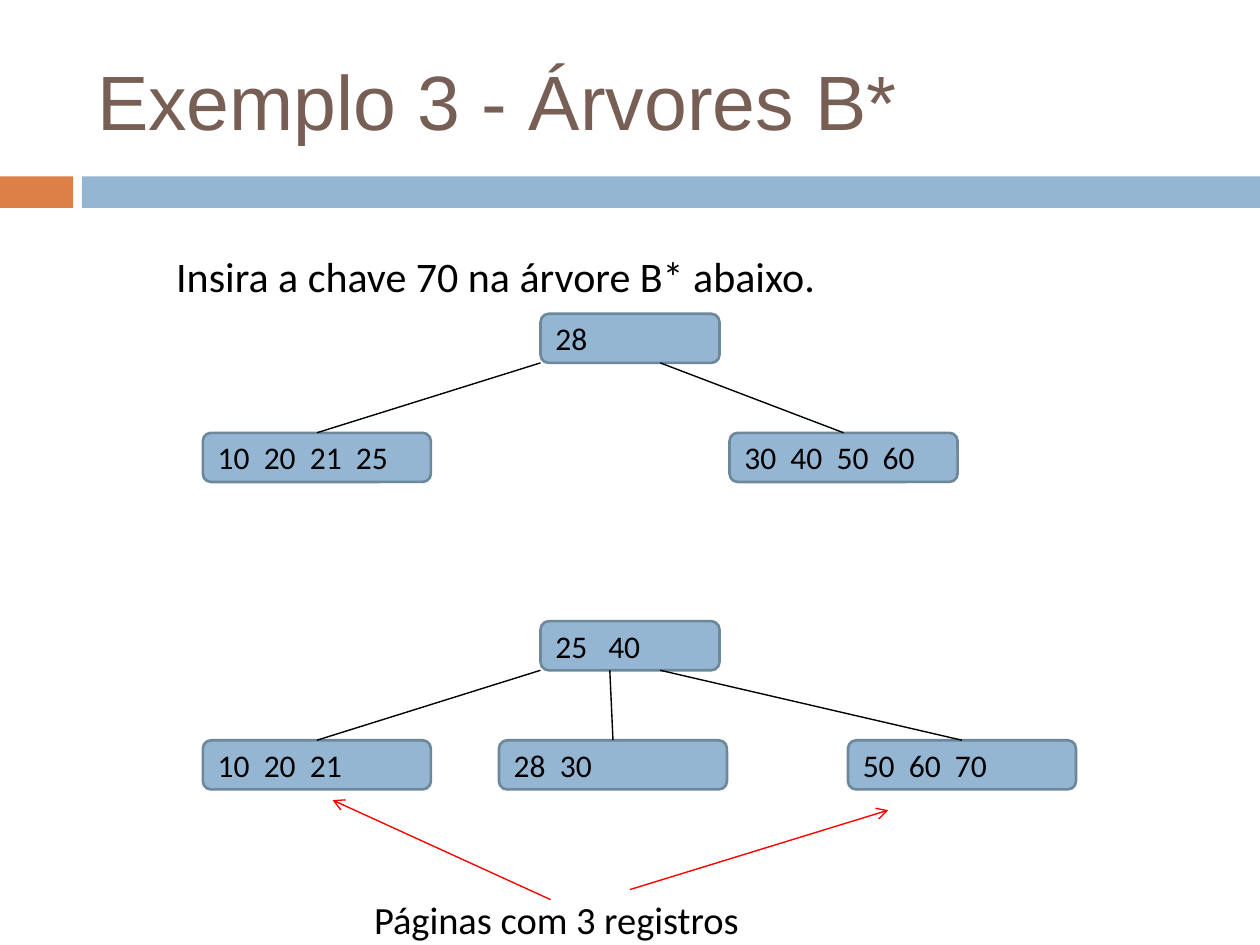
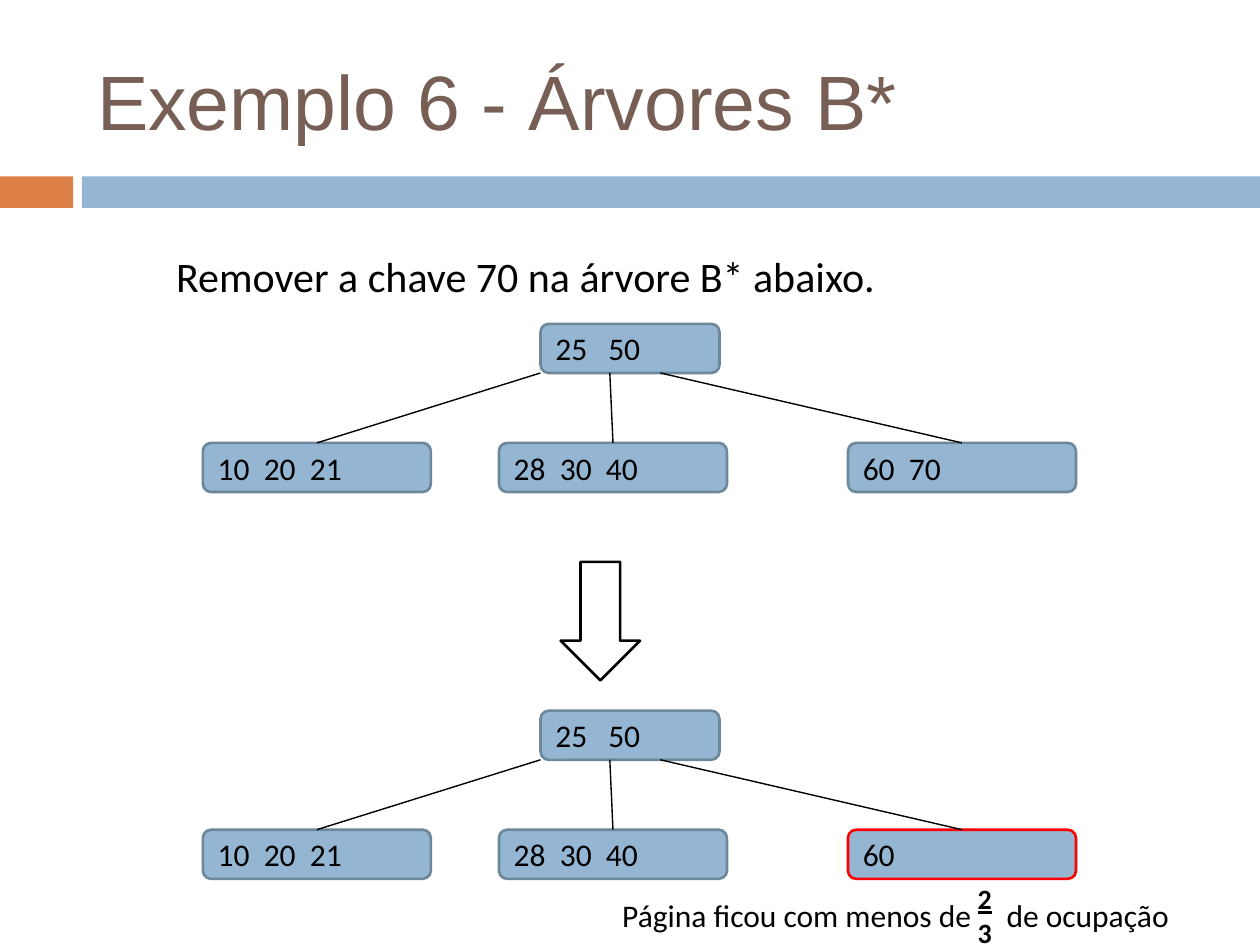
from dataclasses import dataclass
from lxml.etree import SubElement
from pptx import Presentation
from pptx.dml.color import RGBColor as Rgb
from pptx.enum.shapes import MSO_CONNECTOR as Link, MSO_SHAPE as Form
from pptx.enum.text import MSO_ANCHOR as Anchor, PP_ALIGN as Align
from pptx.oxml.ns import qn
from pptx.util import Inches, Pt


@dataclass(frozen=True)
class Theme:
    ink: Rgb = Rgb(0x00, 0x00, 0x00)
    title: Rgb = Rgb(0x77, 0x5F, 0x55)
    accent: Rgb = Rgb(0xDD, 0x80, 0x47)
    blue: Rgb = Rgb(0x94, 0xB6, 0xD2)
    edge: Rgb = Rgb(0x6D, 0x87, 0x9B)
    alert: Rgb = Rgb(0xFF, 0x00, 0x00)
    head: str = "Arial"
    body: str = "Calibri"
    huge: float = 44
    lead: float = 24
    note: float = 22
    text: float = 18
    small: float = 16
    thin: float = 0.79
    bold: float = 1.5


THEME = Theme()
ROOT_W, LEAF_W, NODE_H, DROP = 1.42, 1.81, 0.39, 0.945
ROOT_X = 2.68
LEAVES = {2: (0, 4.18), 3: (0, 2.35, 5.12)}
PORTS = {2: (0, 0.95), 3: (0, 0.55, 0.95)}
ROOT_GAP, LEAF_GAP = 0.42, 0.366
TREE_X = 1.61


def place(box):
    return [Inches(side) for side in box]


def write(para, text, size, color=THEME.ink, font=THEME.body):
    run = para.add_run()
    run.text = text
    run.font.size = Pt(size)
    run.font.name = font
    run.font.color.rgb = color
    return run


def set_tabs(para, stops):
    tabs = SubElement(para._p.get_or_add_pPr(), qn("a:tabLst"))
    for stop in stops:
        SubElement(tabs, qn("a:tab"), pos=str(Inches(stop)), algn="l")


def draw(slide, form, box, fill=None, edge=None):
    shape = slide.shapes.add_shape(form, *place(box))
    shape.shadow.inherit = False
    if fill is None:
        shape.fill.background()
    else:
        shape.fill.solid()
        shape.fill.fore_color.rgb = fill
    if edge is None:
        shape.line.fill.background()
    else:
        shape.line.color.rgb = edge
        shape.line.width = Pt(THEME.bold)
    return shape


def join(slide, start, end, color=THEME.ink, arrow=False):
    line = slide.shapes.add_connector(Link.STRAIGHT, *place(start + end))
    line.line.color.rgb = color
    line.line.width = Pt(THEME.thin)
    if arrow:
        SubElement(line.line._get_or_add_ln(), qn("a:tailEnd"), type="arrow")
    SubElement(line._element.spPr, qn("a:effectLst"))


def add_label(slide, box, text, size, stops=()):
    frame = slide.shapes.add_textbox(*place(box)).text_frame
    frame.word_wrap = True
    para = frame.paragraphs[0]
    if stops:
        set_tabs(para, stops)
    write(para, text, size)


def add_node(slide, box, keys, gap, edge=THEME.edge):
    shape = draw(slide, Form.ROUNDED_RECTANGLE, box, THEME.blue, edge)
    frame = shape.text_frame
    frame.vertical_anchor = Anchor.MIDDLE
    para = frame.paragraphs[0]
    para.alignment = Align.LEFT
    words = keys.split()
    if len(words) > 1:
        set_tabs(para, [gap * n for n in range(1, len(words))])
    write(para, "\t".join(words), THEME.text)


def add_tree(slide, left, top, root, leaves, marked=None):
    root_x = left + ROOT_X
    leaf_y = top + DROP
    count = len(leaves)
    add_node(slide, (root_x, top, ROOT_W, NODE_H), root, ROOT_GAP)
    for n, (keys, x, port) in enumerate(zip(leaves, LEAVES[count], PORTS[count])):
        edge = THEME.alert if n == marked else THEME.edge
        add_node(slide, (left + x, leaf_y, LEAF_W, NODE_H), keys, LEAF_GAP, edge)
        join(slide, (left + x + LEAF_W / 2, leaf_y), (root_x + port, top + NODE_H))


def add_ratio(slide, box, upper, lower):
    frame = slide.shapes.add_textbox(*place(box)).text_frame
    frame.word_wrap = True
    top = write(frame.paragraphs[0], upper, THEME.small)
    top.font.bold = top.font.underline = True
    low = write(frame.add_paragraph(), lower, THEME.small)
    low.font.bold = True


def add_page(deck, title, task):
    slide = deck.slides.add_slide(deck.slide_layouts[5])
    draw(slide, Form.RECTANGLE, (0, 1.4, 0.58, 0.25), THEME.accent)
    draw(slide, Form.RECTANGLE, (0.65, 1.4, 9.35, 0.25), THEME.blue)
    head = slide.shapes.title
    head.left, head.top, head.width, head.height = place((0.67, 0.25, 8.92, 1.08))
    frame = head.text_frame
    frame.vertical_anchor = Anchor.MIDDLE
    para = frame.paragraphs[0]
    para.alignment = Align.LEFT
    write(para, title, THEME.huge, THEME.title, THEME.head)
    add_label(slide, (1.3, 1.94, 7.72, 0.5), task, THEME.lead)
    return slide


def add_insert(deck):
    slide = add_page(deck, "Exemplo 3 - Árvores B*",
                     "Insira a chave 70 na árvore B* abaixo.")
    add_tree(slide, TREE_X, 2.49, "28", ["10 20 21 25", "30 40 50 60"])
    add_tree(slide, TREE_X, 4.93, "25 40", ["10 20 21", "28 30", "50 60 70"])
    add_label(slide, (2.87, 7.06, 6.69, 0.47), "Páginas com 3 registros", THEME.note)
    join(slide, (4.37, 7.14), (2.64, 6.35), THEME.alert, True)
    join(slide, (5, 7.06), (7.05, 6.43), THEME.alert, True)


def add_remove(deck):
    slide = add_page(deck, "Exemplo 6 - Árvores B*",
                     "Remover a chave 70 na árvore B* abaixo.")
    kept = ["10 20 21", "28 30 40"]
    add_tree(slide, TREE_X, 2.57, "25 50", kept + ["60 70"])
    add_tree(slide, TREE_X, 5.64, "25 50", kept + ["60"], marked=2)
    draw(slide, Form.DOWN_ARROW, (4.45, 4.46, 0.63, 0.94), edge=THEME.ink)
    add_label(slide, (4.84, 7.06, 5.16, 0.4),
              "Página ficou com menos de\tde ocupação", THEME.text, [3.05])
    add_ratio(slide, (7.66, 6.95, 0.39, 0.64), "2", "3")


def main():
    deck = Presentation()
    deck.slide_width, deck.slide_height = Inches(10), Inches(7.5)
    add_insert(deck)
    add_remove(deck)
    deck.save("out.pptx")


main()
